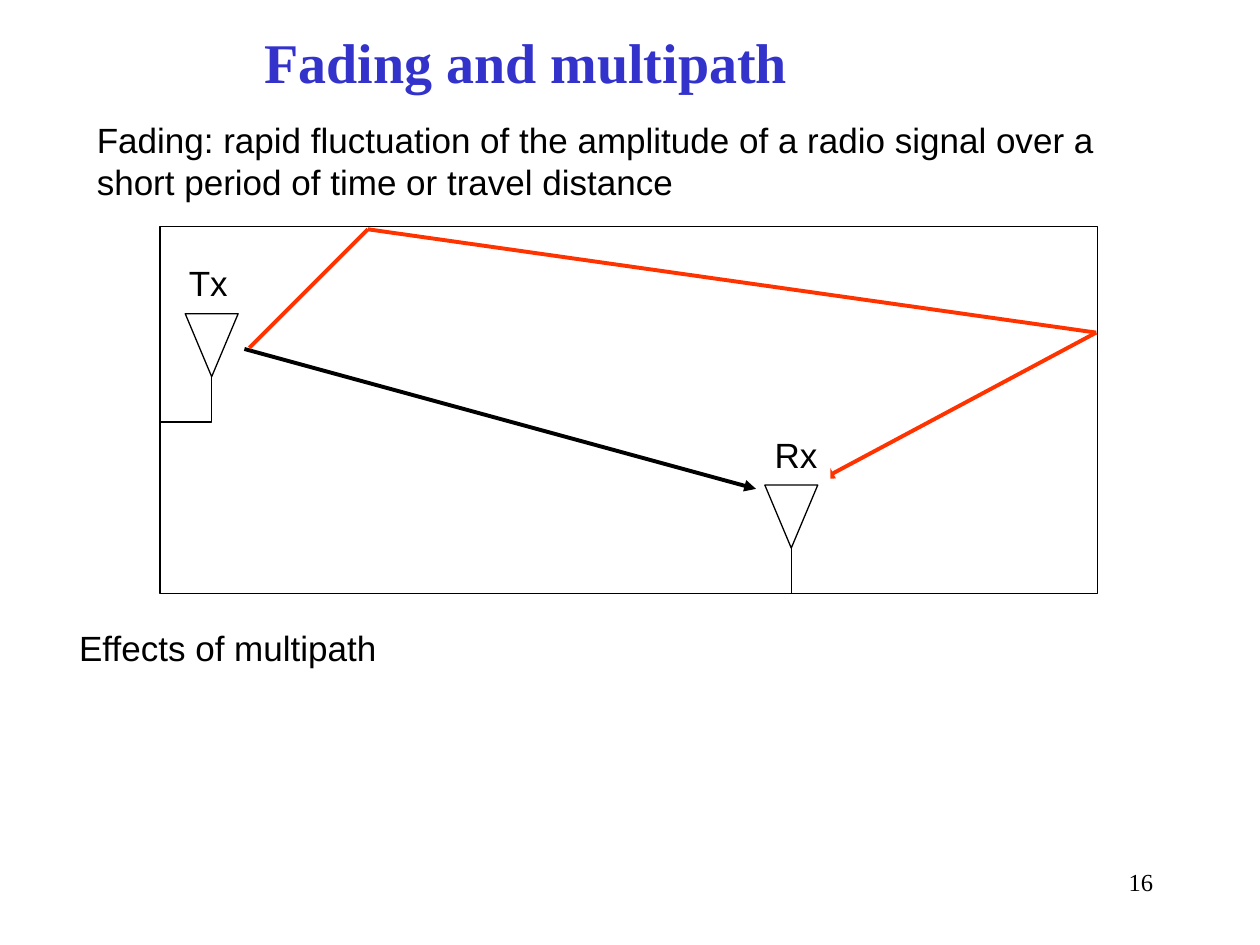
from lxml.etree import SubElement
from pptx import Presentation
from pptx.dml.color import RGBColor
from pptx.enum.shapes import MSO_CONNECTOR as Connector, MSO_SHAPE as Shape
from pptx.enum.text import MSO_ANCHOR as Anchor, PP_ALIGN as Align
from pptx.oxml.ns import qn
from pptx.util import Inches, Pt

BLACK = RGBColor(0x00, 0x00, 0x00)
WHITE = RGBColor(0xFF, 0xFF, 0xFF)
TITLE_BLUE = RGBColor(0x33, 0x33, 0xCC)
REFLECTED_RED = RGBColor(0xFF, 0x33, 0x00)

SLIDE_WIDTH, SLIDE_HEIGHT = Inches(10), Inches(7.5)
COLUMNS, ROWS = 100, 75
THIN, THICK = 0.74, 2.24
ANTENNA_WIDTH, ANTENNA_HEIGHT = 4.2, 5
WIRE_WIDTH, WIRE_HEIGHT = 4.1, 3.6


def x(column):
    return round(SLIDE_WIDTH * column / COLUMNS)


def y(row):
    return round(SLIDE_HEIGHT * row / ROWS)


def add_text(slide, text, left, top, width, height, font="Arial", size=20,
             color=BLACK, bold=False, align=Align.LEFT, wrap=False, fill=None):
    box = slide.shapes.add_textbox(x(left), y(top), x(width), y(height))
    if fill is not None:
        box.fill.solid()
        box.fill.fore_color.rgb = fill
    frame = box.text_frame
    frame.word_wrap = wrap
    frame.vertical_anchor = Anchor.TOP
    frame.text = text
    for paragraph in frame.paragraphs:
        paragraph.alignment = align
        paragraph.font.name = font
        paragraph.font.size = Pt(size)
        paragraph.font.bold = bold
        paragraph.font.color.rgb = color


def add_outline(slide, kind, left, top, width, height):
    shape = slide.shapes.add_shape(kind, x(left), y(top), x(width), y(height))
    shape.shadow.inherit = False
    shape.fill.solid()
    shape.fill.fore_color.rgb = WHITE
    shape.line.color.rgb = BLACK
    shape.line.width = Pt(THIN)


def add_line(slide, start, end, color=BLACK, width=THICK, arrow=False, bent=False):
    kind = Connector.ELBOW if bent else Connector.STRAIGHT
    line = slide.shapes.add_connector(kind, x(start[0]), y(start[1]), x(end[0]), y(end[1]))
    line.line.color.rgb = color
    line.line.width = Pt(width)
    properties = line._element.spPr
    if bent:  # a single corner
        properties.find(qn("a:prstGeom")).set("prst", "bentConnector2")
    if arrow:
        SubElement(properties.find(qn("a:ln")), qn("a:tailEnd"), type="triangle")
    SubElement(properties, qn("a:effectLst"))


def add_antenna(slide, left, top):
    add_outline(slide, Shape.FLOWCHART_MERGE, left, top, ANTENNA_WIDTH, ANTENNA_HEIGHT)
    foot_x, foot_y = left + ANTENNA_WIDTH / 2, top + ANTENNA_HEIGHT
    add_line(slide, (foot_x - WIRE_WIDTH, foot_y + WIRE_HEIGHT), (foot_x, foot_y),
             width=THIN, bent=True)


def add_path(slide, points, color):
    last = len(points) - 2
    for index, (start, end) in enumerate(zip(points, points[1:])):
        add_line(slide, start, end, color, arrow=index == last)


def main():
    presentation = Presentation()
    presentation.slide_width, presentation.slide_height = SLIDE_WIDTH, SLIDE_HEIGHT
    slide = presentation.slides.add_slide(presentation.slide_layouts[6])

    # Room with transmitter and receiver
    add_outline(slide, Shape.RECTANGLE, 12.7, 18, 74.4, 29.1)
    add_antenna(slide, 14.7, 24.9)
    add_antenna(slide, 60.7, 38.5)

    # Direct and reflected signal paths
    add_path(slide, [(19.4, 27.7), (60, 38.8)], BLACK)
    add_path(slide, [(19.8, 27.6), (29.2, 18.2), (87, 26.4), (65.3, 38)], REFLECTED_RED)

    # Labels and statements
    definition = ("Fading: rapid fluctuation of the amplitude of a radio signal over a \n"
                  "short period of time or travel distance")
    for text, *place in (
        ("Tx", 14, 20.3, 5.1, 4.4),
        ("Rx", 60.5, 33.9, 5.4, 4.4),
        (definition, 6.7, 8.9, 82, 7.7),
        ("Effects of multipath", 5.3, 49.2, 25.6, 4.4),
    ):
        add_text(slide, text, *place, fill=WHITE)

    # Title and page number
    add_text(slide, "Fading and multipath", 20, 1.7, 54.2, 6.4, font="Times New Roman",
             size=32, color=TITLE_BLUE, bold=True, wrap=True)
    add_text(slide, "16", 71.7, 68.3, 20.8, 5, font="Times New Roman", size=14,
             align=Align.RIGHT, wrap=True)

    presentation.save("out.pptx")


main()
